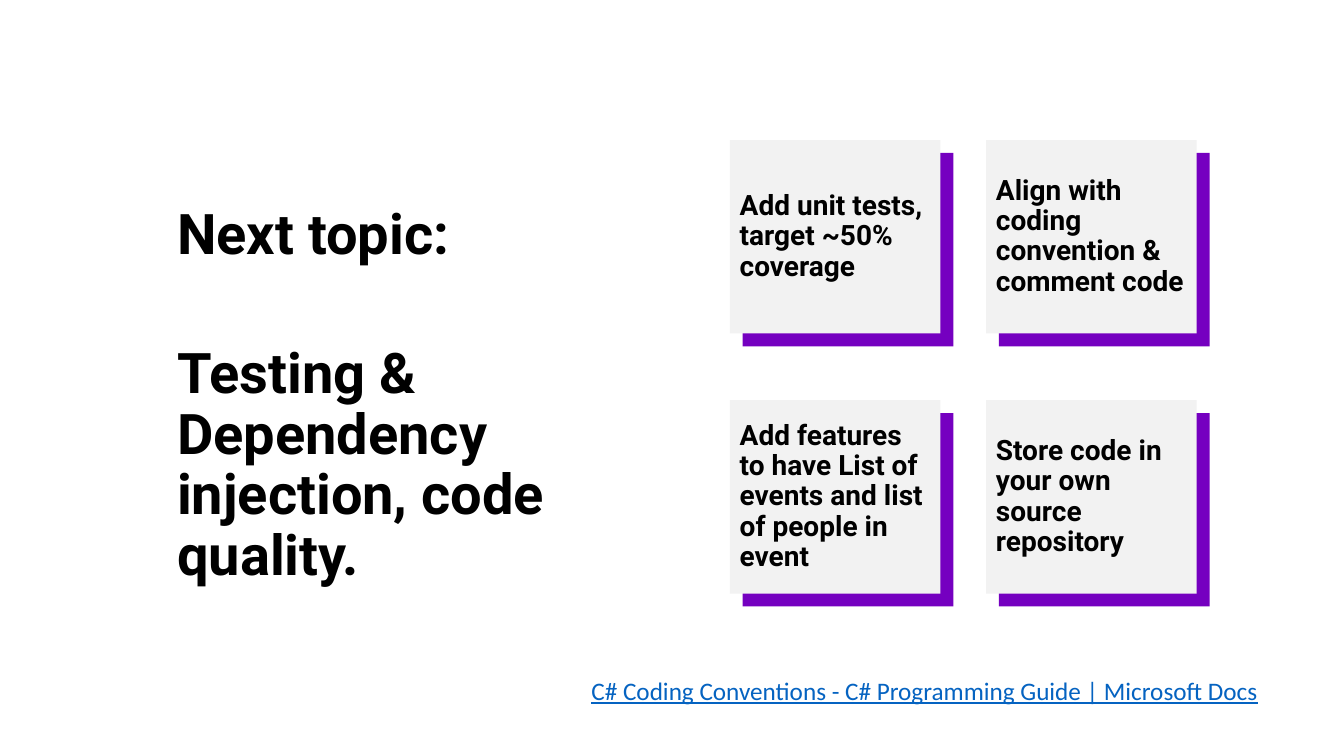
from pptx import Presentation
from pptx.dml.color import RGBColor
from pptx.enum.shapes import MSO_SHAPE
from pptx.enum.text import MSO_ANCHOR, MSO_AUTO_SIZE, PP_ALIGN
from pptx.util import Pt

PURPLE = RGBColor(0x75, 0x00, 0xC0)
LIGHT_GREY = RGBColor(0xF2, 0xF2, 0xF2)
BLACK = RGBColor(0, 0, 0)
LINK_BLUE = RGBColor(0x05, 0x63, 0xC1)

ROW_TOP = 100
ROW_PITCH = 185.8
CARD_PITCH = 183
CARD_WIDTH = 150.5
CARD_HEIGHT = 138.2
SHADOW_OFFSET = 9.2

TASKS = [
    ["Add unit tests, target ~50% coverage",
     "Align with coding convention & comment code"],
    ["Add features to have List of events and list of people in event",
     "Store code in your own source repository"],
]


def write_bold(shape, text, size):
    frame = shape.text_frame
    frame.word_wrap = True
    frame.vertical_anchor = MSO_ANCHOR.MIDDLE
    para = frame.paragraphs[0]
    para.text = text
    para.alignment = PP_ALIGN.LEFT
    para.line_spacing = 0.9
    para.font.name = "Roboto"
    para.font.size = Pt(size)
    para.font.bold = True
    para.font.color.rgb = BLACK


def add_panel(page, left, top, color):
    panel = page.shapes.add_shape(
        MSO_SHAPE.RECTANGLE, Pt(left), Pt(top), Pt(CARD_WIDTH), Pt(CARD_HEIGHT))
    panel.shadow.inherit = False
    panel.fill.solid()
    panel.fill.fore_color.rgb = color
    panel.line.fill.background()
    return panel


def add_card(page, left, top, text):
    add_panel(page, left + SHADOW_OFFSET, top + SHADOW_OFFSET, PURPLE)
    write_bold(add_panel(page, left, top, LIGHT_GREY), text, 20)


def add_task_grid(page, left, top):
    for row, texts in enumerate(TASKS):
        for column, text in enumerate(texts):
            add_card(page, left + column * CARD_PITCH, top + row * ROW_PITCH, text)


def add_heading(page, left, top, width, height, text, bottom_inset=3.6):
    box = page.shapes.add_textbox(Pt(left), Pt(top), Pt(width), Pt(height))
    write_bold(box, text, 40)
    box.text_frame.margin_bottom = Pt(bottom_inset)


def add_reference(page, left, top, width, height):
    box = page.shapes.add_textbox(Pt(left), Pt(top), Pt(width), Pt(height))
    frame = box.text_frame
    frame.word_wrap = False
    frame.auto_size = MSO_AUTO_SIZE.SHAPE_TO_FIT_TEXT
    para = frame.paragraphs[0]
    para.text = "C# Coding Conventions - C# Programming Guide | Microsoft Docs"
    para.font.name = "Calibri"
    para.font.size = Pt(18)
    para.font.underline = True
    para.font.color.rgb = LINK_BLUE


def main():
    deck = Presentation()
    deck.slide_width = Pt(960)
    deck.slide_height = Pt(540)
    page = deck.slides.add_slide(deck.slide_layouts[6])
    add_heading(page, 119.5, ROW_TOP, 296, CARD_HEIGHT, "Next topic:")
    add_heading(page, 119.5, ROW_TOP + ROW_PITCH, 296, CARD_HEIGHT,
                "Testing & Dependency injection, code quality.", 46.8)
    add_task_grid(page, 521.3, ROW_TOP)
    add_reference(page, 415.4, 478.8, 496.8, 28.8)
    deck.save("out.pptx")


if __name__ == "__main__":
    main()
